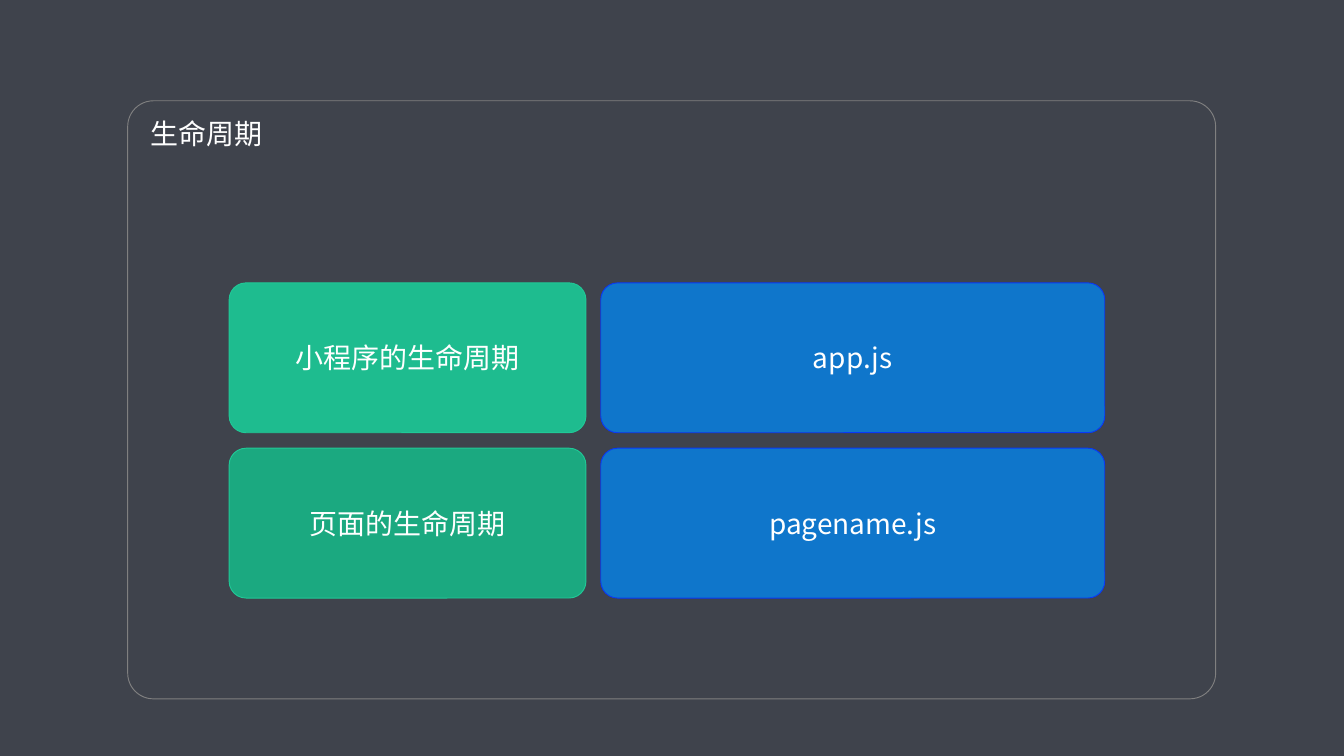
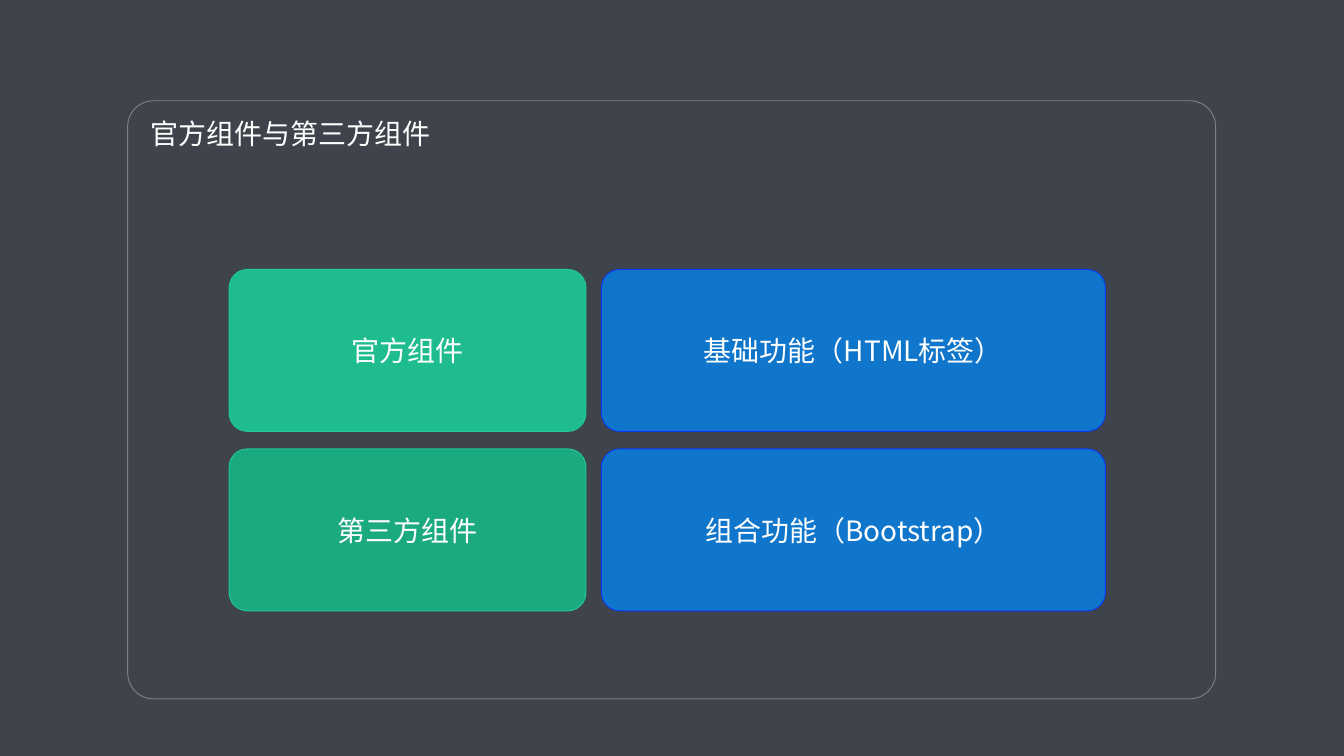
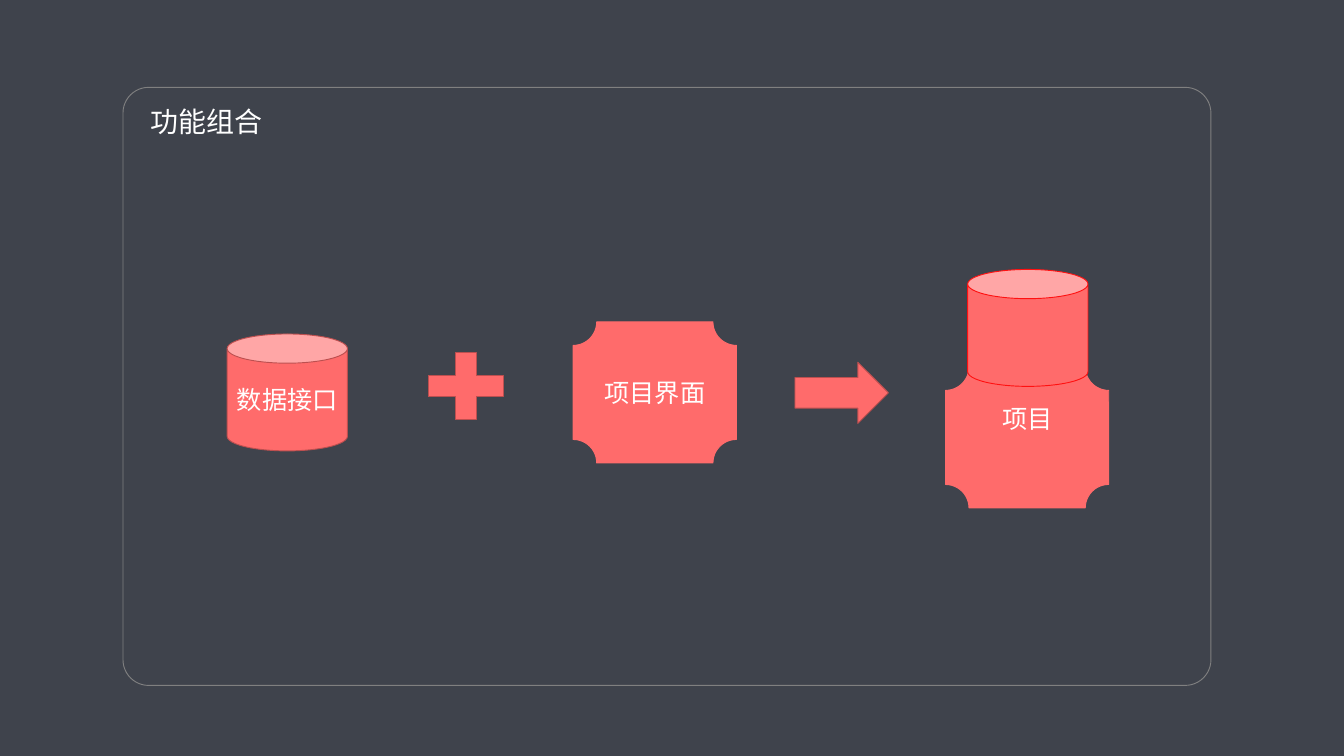
"""Build three dark slides on life cycles, components and how features combine."""
from lxml.etree import SubElement
from pptx import Presentation
from pptx.dml.color import RGBColor
from pptx.enum.shapes import MSO_SHAPE as Kind
from pptx.enum.text import MSO_ANCHOR as Anchor, MSO_AUTO_SIZE as AutoSize, PP_ALIGN as Align
from pptx.oxml.ns import qn
from pptx.util import Pt

PX = 9144
FONT = "Noto Sans CJK SC"
BACKGROUND, WHITE, GREY = "3F434C", "FFFFFF", "808080"
GREENS, GREEN_LINE = ("1EBC8F", "1BA980"), "20C997"
BLUE, BLUE_LINE = "0F76CB", "0939F7"
CORAL, CORAL_LINE, RED = "FF6B6B", "BD4F4F", "FF1111"
color = RGBColor.from_string


def write(box, text, size, align=Align.CENTER, label=False):
    frame = box.text_frame
    frame.text = text
    if label:
        frame.word_wrap = False
        frame.auto_size = AutoSize.SHAPE_TO_FIT_TEXT
        frame.vertical_anchor = Anchor.TOP
    para = frame.paragraphs[0]
    para.alignment = align
    para.font.size = Pt(size)
    para.font.color.rgb = color(WHITE)
    para.font.name = FONT
    SubElement(para._p.pPr.find(qn("a:defRPr")), qn("a:ea"), typeface=FONT)


def add_box(page, kind, bounds, fill, line, text="", size=30, radius=None):
    box = page.shapes.add_shape(kind, *(length * PX for length in bounds))
    box.shadow.inherit = False
    if fill:
        box.fill.solid()
        box.fill.fore_color.rgb = color(fill)
    else:
        box.fill.background()
    box.line.color.rgb = color(line)
    box.line.width = Pt(1)
    if radius:
        box.adjustments[0] = radius
    if text:
        write(box, text, size)


deck = Presentation()
deck.slide_width, deck.slide_height = 2000 * PX, 1125 * PX
background = deck.slide_master.background.fill
background.solid()
background.fore_color.rgb = color(BACKGROUND)

pages = []
for heading, heading_top, frame_left, frame_top in (
    ("生命周期", 168, 190, 150),
    ("官方组件与第三方组件", 168, 190, 150),
    ("功能组合", 150, 183, 130),
):
    page = deck.slides.add_slide(deck.slide_layouts[5])
    title = page.shapes.title
    title.left, title.top = 214 * PX, heading_top * PX
    title.width, title.height = (20 + 42 * len(heading)) * PX, 61 * PX
    write(title, heading, 30, Align.LEFT, label=True)
    add_box(page, Kind.ROUNDED_RECTANGLE, (frame_left, frame_top, 1619, 890),
            None, GREY, radius=0.043)
    pages.append(page)

life_cycle, components, combination = pages

for page, grid_top, height, pitch, blue_left, rows in (
    (life_cycle, 421, 223, 246, 894,
     (("小程序的生命周期", "app.js"), ("页面的生命周期", "pagename.js"))),
    (components, 401, 241, 267, 895,
     (("官方组件", "基础功能（HTML标签）"), ("第三方组件", "组合功能（Bootstrap）"))),
):
    for row, (topic, detail) in enumerate(rows):
        top = grid_top + row * pitch
        for left, width, fill, line, text in (
            (341, 531, GREENS[row], GREEN_LINE, topic),
            (blue_left, 750, BLUE, BLUE_LINE, detail),
        ):
            add_box(page, Kind.ROUNDED_RECTANGLE, (left, top, width, height),
                    fill, line, text, radius=0.112)

for kind, bounds, line, text in (
    (Kind.PLAQUE, (853, 479, 243, 210), CORAL, "项目界面"),
    (Kind.RIGHT_ARROW, (1183, 539, 139, 91), CORAL_LINE, ""),
    (Kind.MATH_PLUS, (617, 507, 152, 135), CORAL_LINE, ""),
    (Kind.CAN, (338, 497, 179, 174), CORAL_LINE, "数据接口"),
    (Kind.PLAQUE, (1407, 546, 243, 210), CORAL, ""),
    (Kind.CAN, (1440, 401, 179, 174), RED, ""),
):
    add_box(combination, kind, bounds, CORAL, line, text, size=27)

project = combination.shapes.add_textbox(1482 * PX, 595 * PX, 96 * PX, 56 * PX)
write(project, "项目", 27, Align.LEFT, label=True)

deck.save("out.pptx")
